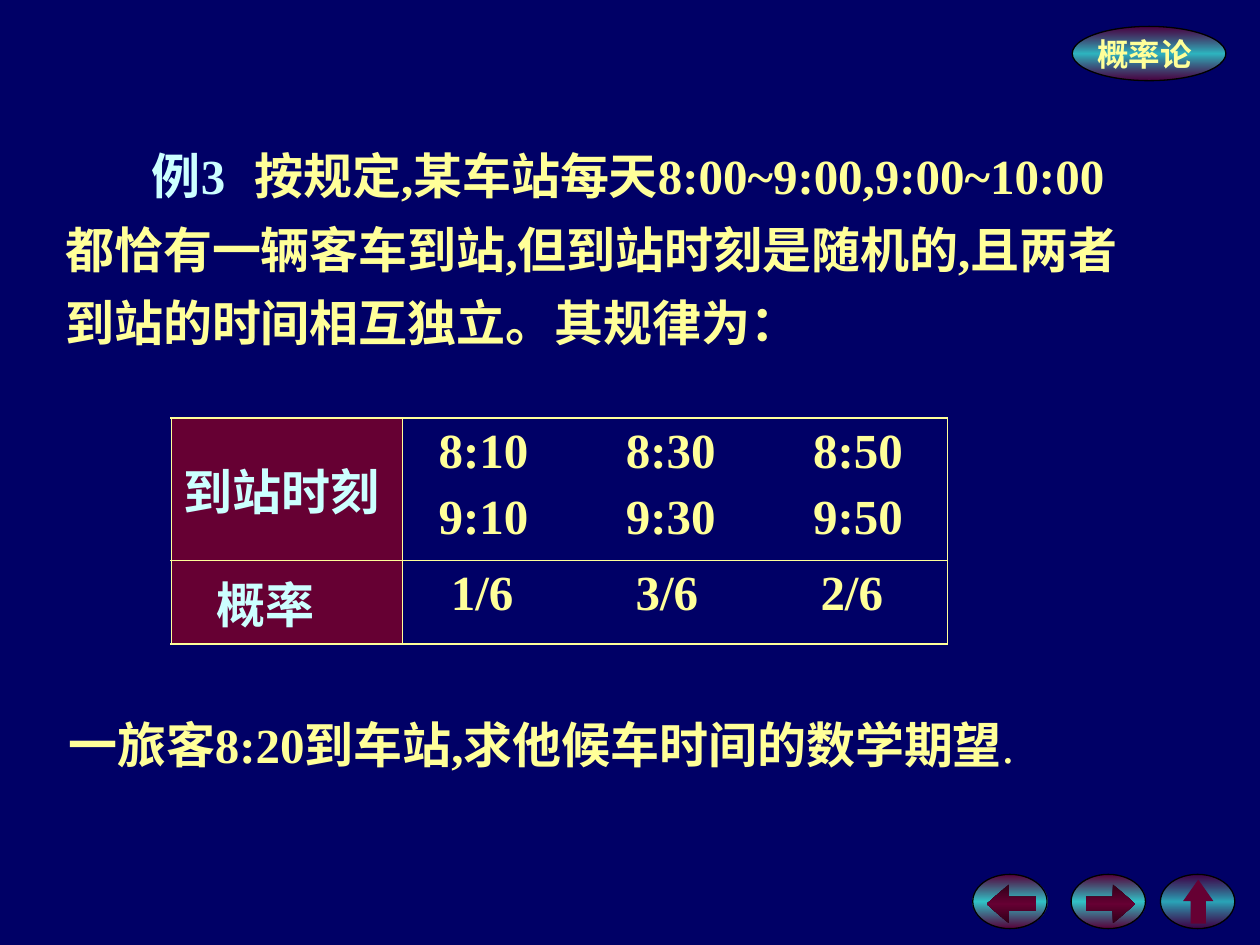
import pptx
import pptx.util
import pptx.oxml
import pptx.oxml.ns
import pptx.dml.color
import pptx.enum.shapes
import pptx.enum.text
from lxml import etree

Pt = pptx.util.Pt
ns = pptx.oxml.ns
ShapeType = pptx.enum.shapes.MSO_SHAPE
Align = pptx.enum.text.PP_ALIGN
Anchor = pptx.enum.text.MSO_ANCHOR

FONT = "Times New Roman"
COLORS = {
    "background": "000066",
    "text": "FFFF99",
    "label": "CCFFFF",
    "wine": "660033",
    "dark_wine": "2F0018",
    "teal": "33CCCC",
    "outline": "000000",
}


def rgb(name):
    return pptx.dml.color.RGBColor.from_string(COLORS[name])


def add_run(paragraph, text, color="text", size=28, bold=True):
    run = paragraph.add_run()
    run.text = text
    run.font.name = FONT
    run.font.size = Pt(size)
    run.font.bold = bold
    run.font.color.rgb = rgb(color)


def add_tabs(paragraph, positions):
    properties = paragraph._p.get_or_add_pPr()
    tabs = etree.SubElement(properties, ns.qn("a:tabLst"))
    for position in positions:
        etree.SubElement(tabs, ns.qn("a:tab"), pos=str(Pt(position)), algn="l")


def set_gradient(shape, edge, middle, angle, edge_alpha=100, middle_alpha=100):
    gradient = etree.Element(ns.qn("a:gradFill"), rotWithShape="1")
    stops = etree.SubElement(gradient, ns.qn("a:gsLst"))
    for position, name, alpha in ((0, edge, edge_alpha),
                                  (50, middle, middle_alpha),
                                  (100, edge, edge_alpha)):
        stop = etree.SubElement(stops, ns.qn("a:gs"), pos=str(position * 1000))
        color = etree.SubElement(stop, ns.qn("a:srgbClr"), val=COLORS[name])
        etree.SubElement(color, ns.qn("a:alpha"), val=str(alpha * 1000))
    etree.SubElement(gradient, ns.qn("a:lin"), ang=str(angle * 60000), scaled="1")
    shape._element.spPr.find(ns.qn("a:prstGeom")).addnext(gradient)


def add_ellipse(slide, left, top, width, height, angle, alphas):
    shape = slide.shapes.add_shape(
        ShapeType.OVAL, Pt(left), Pt(top), Pt(width), Pt(height))
    shape.shadow.inherit = False
    set_gradient(shape, "wine", "teal", angle, *alphas)
    shape.line.color.rgb = rgb("outline")
    shape.line.width = Pt(0.75)
    return shape


def add_badge(slide, text):
    badge = add_ellipse(slide, 612.7, 15.1, 87.8, 31, 90, (73, 89))
    frame = badge.text_frame
    frame.word_wrap = False
    frame.vertical_anchor = Anchor.MIDDLE
    frame.margin_right = Pt(12)
    paragraph = frame.paragraphs[0]
    paragraph.alignment = Align.CENTER
    add_run(paragraph, text, size=18)


def add_button(slide, left, alphas, arrow_type, arrow_box, adjustments):
    button = add_ellipse(slide, left, 493.9, 31, 42.5, 180, alphas)
    button.rotation = 270
    arrow = slide.shapes.add_shape(arrow_type, *map(Pt, arrow_box))
    arrow.shadow.inherit = False
    arrow.line.fill.background()
    for index, value in enumerate(adjustments):
        arrow.adjustments[index] = value
    if arrow_type == ShapeType.UP_ARROW:
        arrow.fill.solid()
        arrow.fill.fore_color.rgb = rgb("wine")
    else:
        set_gradient(arrow, "dark_wine", "wine", 90)


def add_text_box(slide, left, top, width, height):
    box = slide.shapes.add_textbox(Pt(left), Pt(top), Pt(width), Pt(height))
    box.text_frame.word_wrap = True
    return box.text_frame


def add_statement(slide):
    frame = add_text_box(slide, 30.2, 71.3, 655, 175.7)
    first = frame.paragraphs[0]
    first._p.get_or_add_pPr().set("indent", str(Pt(49.5)))
    add_tabs(first, [126])
    add_run(first, "例3\t", "label")
    add_run(first, "按规定,某车站每天8:00~9:00,9:00~10:00")
    for line in ("都恰有一辆客车到站,但到站时刻是随机的,且两者",
                 "到站的时间相互独立。其规律为："):
        add_run(frame.add_paragraph(), line)
    for paragraph in frame.paragraphs:
        paragraph.line_spacing = 1.25


def add_question(slide):
    paragraph = add_text_box(slide, 0, 404.6, 618.5, 41).paragraphs[0]
    paragraph.alignment = Align.CENTER
    add_run(paragraph, "一旅客8:20到车站,求他候车时间的数学期望")
    add_run(paragraph, ".", bold=False)


def set_borders(cell, row, column):
    outer_sides = {"L": column == 0, "R": column == 1, "T": row == 0, "B": row == 1}
    properties = cell._tc.get_or_add_tcPr()
    for side, outer in outer_sides.items():
        line = etree.SubElement(
            properties, ns.qn("a:ln" + side), w=str(Pt(1.08 if outer else 0.45)))
        fill = etree.SubElement(line, ns.qn("a:solidFill"))
        etree.SubElement(fill, ns.qn("a:srgbClr"), val=COLORS["text"])


def fill_cell(cell, lines, color, margin, tab_step):
    cell.margin_left = Pt(margin)
    frame = cell.text_frame
    for index, values in enumerate(lines):
        paragraph = frame.add_paragraph() if index else frame.paragraphs[0]
        if index:
            paragraph.space_before = Pt(7)
        if len(values) > 1:
            add_tabs(paragraph, [tab_step * n for n in range(1, len(values))])
        add_run(paragraph, "\t".join(values), color)


def add_schedule(slide):
    rows = [
        ("到站时刻", 7.2, [["8:10", "8:30", "8:50"], ["9:10", "9:30", "9:50"]], 21, 107),
        ("概率", 26, [["1/6", "3/6", "2/6"]], 28, 105.6),
    ]
    table = slide.shapes.add_table(
        2, 2, Pt(97.9), Pt(239), Pt(443.6), Pt(126)).table
    table.first_row = False
    table.horz_banding = False
    for column, width in zip(table.columns, (131.8, 311.8)):
        column.width = Pt(width)
    for row, height in zip(table.rows, (81.4, 44.6)):
        row.height = Pt(height)
    for index, (label, label_margin, lines, margin, step) in enumerate(rows):
        label_cell, value_cell = table.cell(index, 0), table.cell(index, 1)
        set_borders(label_cell, index, 0)
        set_borders(value_cell, index, 1)
        label_cell.fill.solid()
        label_cell.fill.fore_color.rgb = rgb("wine")
        value_cell.fill.background()
        fill_cell(label_cell, [[label]], "label", label_margin, 0)
        fill_cell(value_cell, lines, "text", margin, step)
    table.cell(0, 0).vertical_anchor = Anchor.MIDDLE


def main():
    presentation = pptx.Presentation()
    presentation.slide_width = Pt(720)
    presentation.slide_height = Pt(540)
    slide = presentation.slides.add_slide(presentation.slide_layouts[6])
    slide.background.fill.solid()
    slide.background.fill.fore_color.rgb = rgb("background")

    add_badge(slide, "概率论")
    add_button(slide, 561.6, (86, 96), ShapeType.LEFT_ARROW,
               (563.8, 505.4, 28.1, 22.3), (0.36, 0.57))
    add_button(slide, 617.8, (86, 96), ShapeType.RIGHT_ARROW,
               (620.6, 505.4, 28.1, 22.3), (0.36, 0.57))
    add_button(slide, 668.9, (62, 81), ShapeType.UP_ARROW,
               (676.1, 502.6, 17.3, 25.2), (0.5, 0.71))
    add_schedule(slide)
    add_question(slide)
    add_statement(slide)
    presentation.save("out.pptx")


if __name__ == "__main__":
    main()
